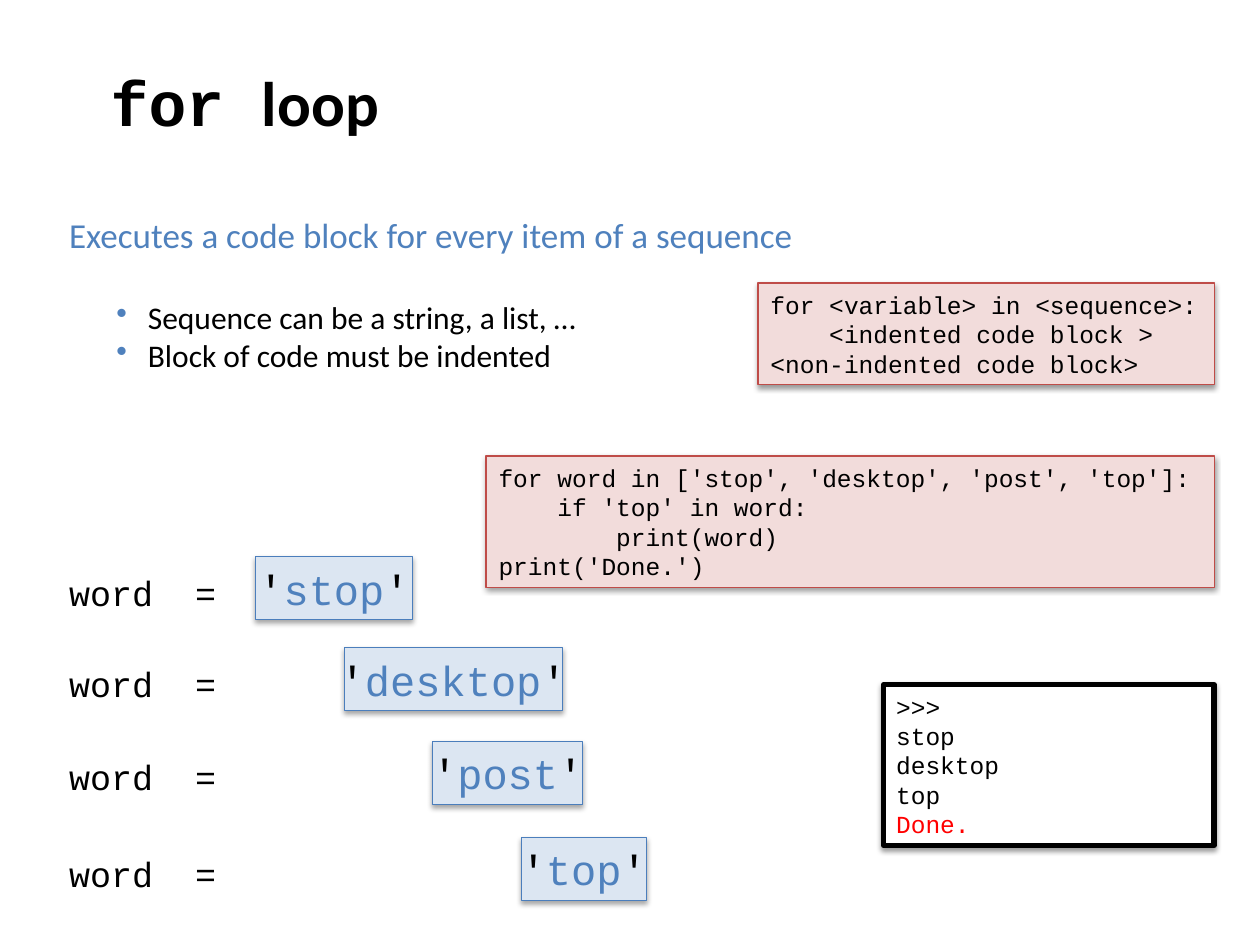
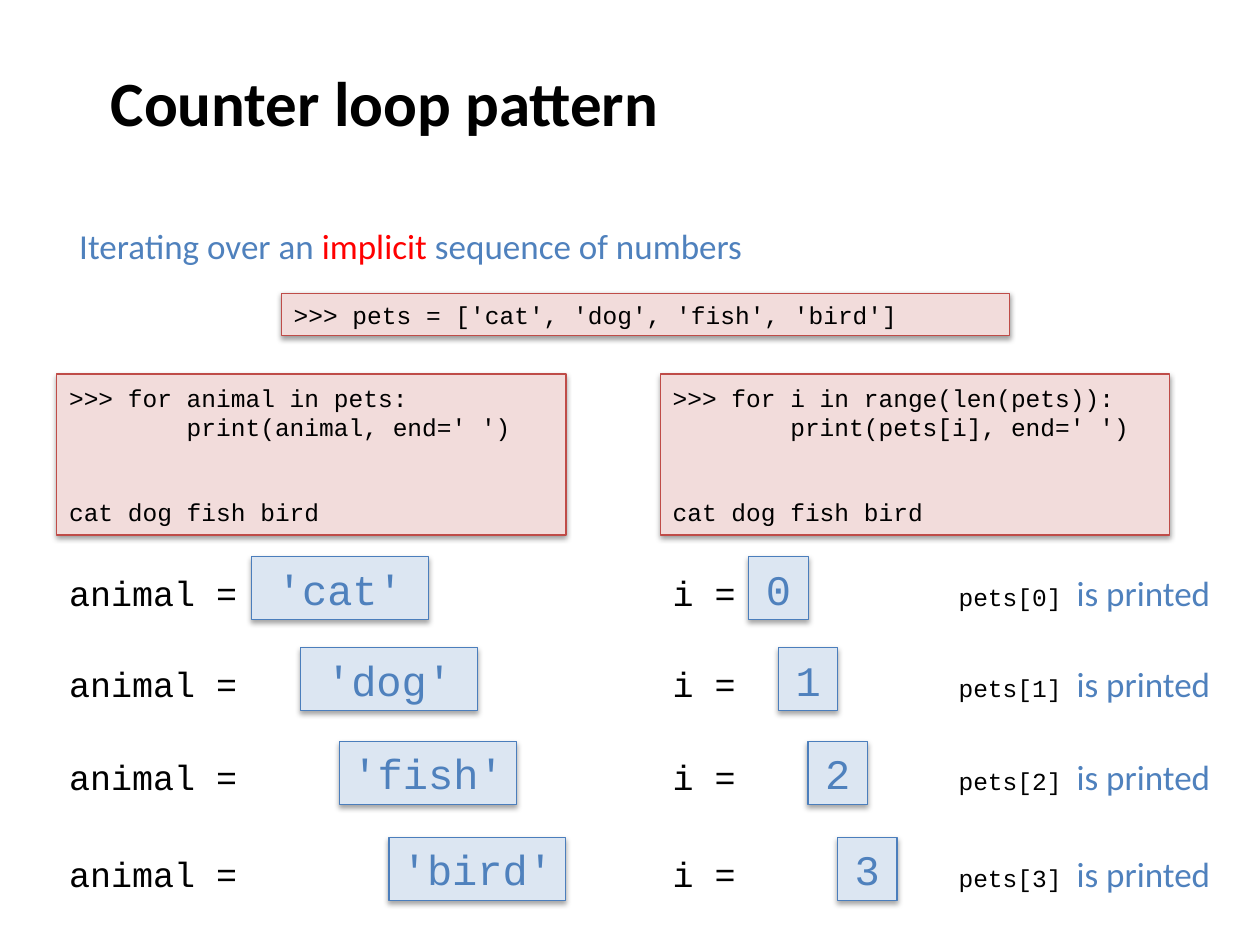
from dataclasses import dataclass, replace
from typing import NamedTuple, Optional, Sequence

from lxml import etree
from pptx import Presentation
from pptx.dml.color import RGBColor
from pptx.enum import shapes, text
from pptx.oxml import ns
from pptx.util import Pt


@dataclass(frozen=True)
class Theme:
    black: str = "000000"
    white: str = "FFFFFF"
    blue: str = "4F81BD"
    red: str = "FF0000"
    chip_fill: str = "DCE6F2"
    chip_line: str = "4B7EBC"
    code_fill: str = "F2DCDB"
    code_line: str = "BF4C48"
    sans: str = "Calibri"
    mono: str = "Courier New"
    title: float = 36
    value: float = 24
    body: float = 20
    bullet: float = 18
    code: float = 14


T = Theme()


class Box(NamedTuple):
    left: float
    top: float
    width: float
    height: float


@dataclass(frozen=True)
class Run:
    text: str
    size: float = T.code
    name: str = T.mono
    color: str = T.black
    bold: bool = False


@dataclass(frozen=True)
class Para:
    runs: Sequence[Run]
    before: float = 0
    bullet: bool = False


@dataclass(frozen=True)
class Panel:
    fill: str
    line: str
    line_width: float = 0.75
    shadow_distance: float = 1.6
    shadow_alpha: int = 38


class Chip(NamedTuple):
    left: float
    width: float
    runs: Sequence[Run]


CHIP = Panel(T.chip_fill, T.chip_line, shadow_distance=1.8, shadow_alpha=35)
CODE = Panel(T.code_fill, T.code_line)
CONSOLE = Panel(T.white, T.black, line_width=3)

TITLE_BOX = Box(56.2, 0, 612, 116)
ROW_TOPS = (318.2, 370.2, 423.6, 478.7)
CHIP_HEIGHT = 36
LABEL_DROP = 4.6
LABEL_HEIGHT = 31.5
LEFT_EDGE, RIGHT_COLUMN = 32.4, 377.3
BLANK_CODE_LINES = 31.7
BLANK_BODY_LINE = 24.4

TITLE = Run("", T.title, T.sans, bold=True)
LEAD = Run("", T.body, T.sans, T.blue)
LABEL = Run("", T.body)
VALUE = Run("", T.value, color=T.blue)


def add_bullet(p) -> None:
    pPr = p._p.get_or_add_pPr()
    pPr.set("marL", str(Pt(45)))
    pPr.set("indent", str(-Pt(18)))
    color = etree.SubElement(pPr, ns.qn("a:buClr"))
    etree.SubElement(color, ns.qn("a:srgbClr"), val=T.blue)
    etree.SubElement(pPr, ns.qn("a:buChar"), char="•")


def write(tf, paras: Sequence[Para], align=text.PP_ALIGN.LEFT, wrap: bool = True) -> None:
    tf.word_wrap = wrap
    tf.vertical_anchor = text.MSO_ANCHOR.MIDDLE
    for i, para in enumerate(paras):
        p = tf.paragraphs[0] if i == 0 else tf.add_paragraph()
        p.alignment = align
        if para.before:
            p.space_before = Pt(para.before)
        if para.bullet:
            add_bullet(p)
        for run in para.runs:
            r = p.add_run()
            r.text = run.text
            r.font.color.rgb = RGBColor.from_string(run.color)
            look = {"name": run.name, "size": Pt(run.size), "bold": run.bold}
            for key, value in look.items():
                setattr(r.font, key, value)


def add_text(s, box: Box, paras: Sequence[Para], wrap: bool = True) -> None:
    write(s.shapes.add_textbox(*map(Pt, box)).text_frame, paras, wrap=wrap)


def add_shadow(sp, panel: Panel) -> None:
    sp.shadow.inherit = False
    effects = sp._element.spPr.find(ns.qn("a:effectLst"))
    outer = etree.SubElement(
        effects, ns.qn("a:outerShdw"), blurRad=str(Pt(3.1)),
        dist=str(Pt(panel.shadow_distance)), dir="5400000", rotWithShape="0")
    color = etree.SubElement(outer, ns.qn("a:srgbClr"), val=T.black)
    etree.SubElement(color, ns.qn("a:alpha"), val=str(panel.shadow_alpha * 1000))


def add_panel(s, box: Box, panel: Panel, paras: Sequence[Para],
              align=text.PP_ALIGN.LEFT, wrap: bool = True) -> None:
    sp = s.shapes.add_shape(shapes.MSO_SHAPE.RECTANGLE, *map(Pt, box))
    sp.fill.solid()
    sp.fill.fore_color.rgb = RGBColor.from_string(panel.fill)
    sp.line.color.rgb = RGBColor.from_string(panel.line)
    sp.line.width = Pt(panel.line_width)
    add_shadow(sp, panel)
    write(sp.text_frame, paras, align, wrap)


def code(*lines: str, output: Optional[str] = None) -> list[Para]:
    """Code lines, with any printed output set two lines below them."""
    paras = [Para([Run(line)]) for line in lines]
    if output:
        paras.append(Para([Run(output)], before=BLANK_CODE_LINES))
    return paras


def add_labels(s, left: float, width: float, rows: Sequence[Sequence[Run]]) -> None:
    for top, runs in zip(ROW_TOPS, rows):
        add_text(s, Box(left, top + LABEL_DROP, width, LABEL_HEIGHT), [Para(runs)], wrap=False)


def add_chips(s, chips: Sequence[Chip]) -> None:
    for top, chip in zip(ROW_TOPS, chips):
        add_panel(s, Box(chip.left, top, chip.width, CHIP_HEIGHT), CHIP,
                  [Para(chip.runs)], text.PP_ALIGN.CENTER, wrap=False)


def new_slide(prs, title: Sequence[Run]):
    s = prs.slides.add_slide(prs.slide_layouts[6])
    add_text(s, TITLE_BOX, [Para(title)])
    return s


def build_for_loop(prs) -> None:
    s = new_slide(prs, [replace(TITLE, text="for ", name=T.mono), replace(TITLE, text="loop")])
    item = Run("", T.bullet, T.sans)
    add_text(s, Box(LEFT_EDGE, 118.2, 430, 99.4), [
        Para([replace(LEAD, text="Executes a code block for every item of a sequence")]),
        Para([replace(item, text="Sequence can be a string, a list, …")], BLANK_BODY_LINE, True),
        Para([replace(item, text="Block of code must be indented")], bullet=True),
    ])
    add_panel(s, Box(433.2, 161.8, 260.8, 58.1), CODE, code(
        "for <variable> in <sequence>:",
        "    <indented code block >",
        "<non-indented code block>"))
    add_panel(s, Box(277.8, 260.6, 416.2, 75), CODE, code(
        "for word in ['stop', 'desktop', 'post', 'top']:",
        "    if 'top' in word:",
        "        print(word)",
        "print('Done.')"))
    quote = replace(VALUE, text="'", color=T.black)
    words = (("stop", 89.5), ("desktop", 124.6), ("post", 85.7), ("top", 71.4))
    add_chips(s, [Chip(146.1 + 50.6 * i, width, [quote, replace(VALUE, text=word), quote])
                  for i, (word, width) in enumerate(words)])
    add_labels(s, LEFT_EDGE, 99.4, [[replace(LABEL, text="word  =")]] * len(words))
    add_panel(s, Box(505, 391.2, 188.7, 92), CONSOLE,
              code(">>>", "stop", "desktop", "top") + [Para([Run("Done.", color=T.red)])])


def build_counter_loop(prs) -> None:
    s = new_slide(prs, [replace(TITLE, text="Counter loop pattern")])
    add_text(s, Box(38.2, 124.8, 643, LABEL_HEIGHT), [Para([
        replace(LEAD, text="Iterating over an "),
        replace(LEAD, text="implicit ", color=T.red),
        replace(LEAD, text="sequence of numbers"),
    ])])
    add_panel(s, Box(160.7, 167.6, 416.2, 24.2), CODE,
              code(">>> pets = ['cat', 'dog', 'fish', 'bird']"))
    loops = (
        (LEFT_EDGE, ">>> for animal in pets:", "        print(animal, end=' ')"),
        (RIGHT_COLUMN, ">>> for i in range(len(pets)):", "        print(pets[i], end=' ')"),
    )
    for left, head, body in loops:
        add_panel(s, Box(left, 213.7, 291, 92), CODE,
                  code(head, body, output="cat dog fish bird"))

    pets = (("'cat'", 143.7), ("'dog'", 171.8), ("'fish'", 194.1), ("'bird'", 222.3))
    add_chips(s, [Chip(left, 101, [replace(VALUE, text=pet)]) for pet, left in pets])
    add_labels(s, LEFT_EDGE, 111.4, [[replace(LABEL, text="animal =")]] * len(pets))

    indices = range(len(pets))
    add_chips(s, [Chip(427.9 + 16.9 * i, 34, [replace(VALUE, text=str(i))]) for i in indices])
    add_labels(s, RIGHT_COLUMN, 51, [[replace(LABEL, text="i =")]] * len(pets))
    add_labels(s, 540.7, 160, [[Run(f"pets[{i}] "), replace(LEAD, text="is printed")]
                               for i in indices])


def main() -> None:
    prs = Presentation()
    prs.slide_width, prs.slide_height = Pt(720), Pt(540)
    build_for_loop(prs)
    build_counter_loop(prs)
    prs.save("out.pptx")


if __name__ == "__main__":
    main()
